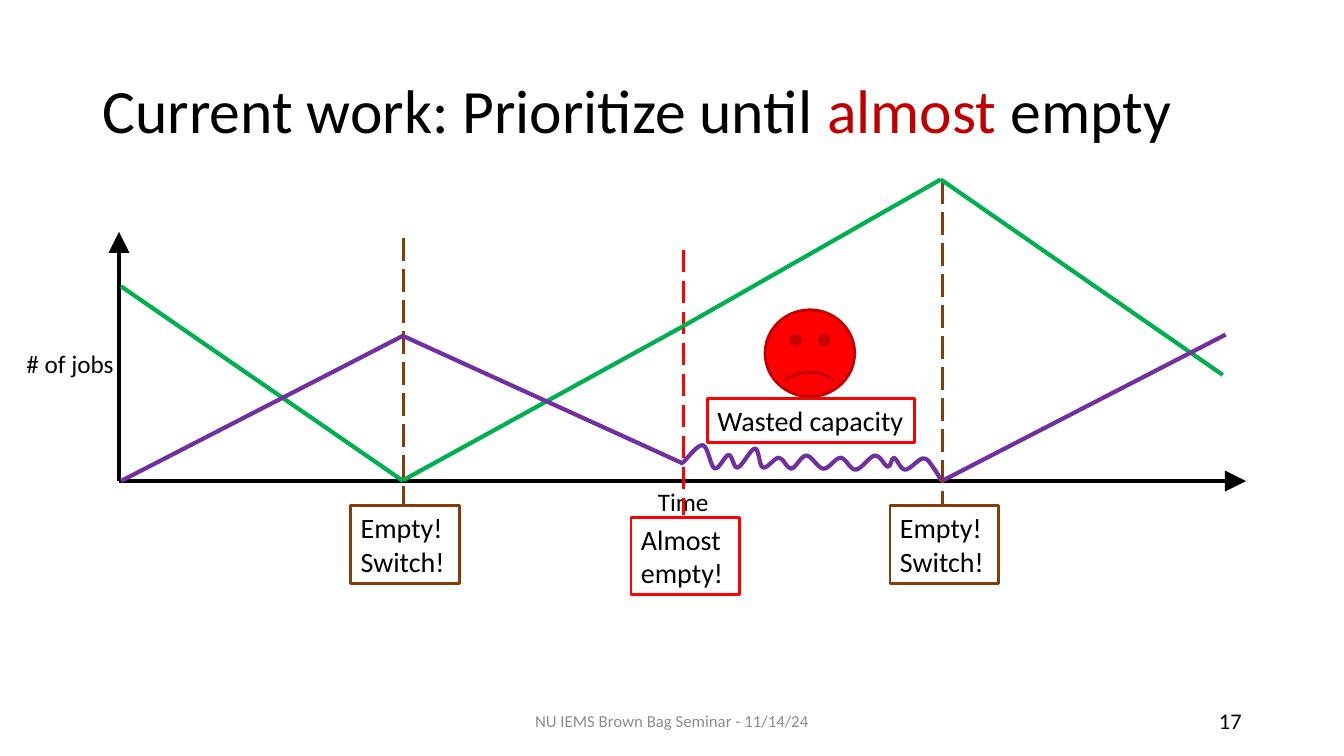
from dataclasses import dataclass
from itertools import chain

from lxml.etree import SubElement
from pptx import Presentation
from pptx.dml.color import RGBColor
from pptx.enum.dml import MSO_LINE
from pptx.enum.shapes import MSO_CONNECTOR, MSO_SHAPE
from pptx.enum.text import MSO_ANCHOR, MSO_AUTO_SIZE, PP_ALIGN
from pptx.oxml.ns import qn
from pptx.shapes.autoshape import Shape
from pptx.shapes.connector import Connector
from pptx.text.text import TextFrame
from pptx.util import Pt

Point = tuple[float, float]


@dataclass(frozen=True)
class Theme:
    font: str = "Calibri"
    black: str = "000000"
    white: str = "FFFFFF"
    gray: str = "8C8C8C"
    green: str = "00B050"
    purple: str = "7030A0"
    brown: str = "843C0B"
    red: str = "FF0000"
    dark: str = "C00000"
    title: float = 44
    note: float = 20
    label: float = 18
    page: float = 16
    foot: float = 12
    thick: float = 3
    thin: float = 2


@dataclass(frozen=True)
class Label:
    text: str
    left: float
    top: float
    width: float
    size: float
    color: str
    align: PP_ALIGN = PP_ALIGN.CENTER
    anchor: MSO_ANCHOR = MSO_ANCHOR.TOP


@dataclass(frozen=True)
class Track:
    color: str
    points: list[Point]
    curved: bool = False


@dataclass(frozen=True)
class Switch:
    text: str
    x: float
    start: float
    top: float
    color: str


theme = Theme()
prs = Presentation()
prs.slide_width, prs.slide_height = Pt(960), Pt(540)
slide = prs.slides.add_slide(prs.slide_layouts[5])
shapes = slide.shapes


def paint(frame: TextFrame, size: float, color: str, align: PP_ALIGN) -> None:
    for para in frame.paragraphs:
        para.alignment = align
        for run in para.runs:
            run.font.name = theme.font
            run.font.size = Pt(size)
            run.font.color.rgb = RGBColor.from_string(color)


def write(item: Label) -> None:
    box = shapes.add_textbox(Pt(item.left), Pt(item.top), Pt(item.width), Pt(28.8))
    frame = box.text_frame
    frame.word_wrap = True
    frame.vertical_anchor = item.anchor
    frame.text = item.text
    paint(frame, item.size, item.color, item.align)


def draw(start: Point, end: Point, color: str, width: float) -> Connector:
    line = shapes.add_connector(
        MSO_CONNECTOR.STRAIGHT, *(Pt(v) for v in chain(start, end)))
    line.line.color.rgb = RGBColor.from_string(color)
    line.line.width = Pt(width)
    SubElement(line._element.spPr, qn("a:effectLst"))
    return line


def arrow(start: Point, end: Point) -> None:
    line = draw(start, end, theme.black, theme.thick)
    stroke = line._element.spPr.find(qn("a:ln"))
    SubElement(stroke, qn("a:tailEnd"), type="triangle", w="lg", len="lg")


def solid(kind: MSO_SHAPE, left: float, top: float, width: float,
          height: float, fill: str, edge: str) -> Shape:
    shape = shapes.add_shape(kind, Pt(left), Pt(top), Pt(width), Pt(height))
    shape.shadow.inherit = False
    shape.fill.solid()
    shape.fill.fore_color.rgb = RGBColor.from_string(fill)
    shape.line.color.rgb = RGBColor.from_string(edge)
    shape.line.width = Pt(theme.thin)
    return shape


def note(text: str, left: float, top: float, width: float, height: float,
         edge: str) -> None:
    box = solid(MSO_SHAPE.RECTANGLE, left, top, width, height, theme.white, edge)
    frame = box.text_frame
    frame.vertical_anchor = MSO_ANCHOR.TOP
    frame.text = text
    paint(frame, theme.note, theme.black, PP_ALIGN.LEFT)


def mark(item: Switch) -> None:
    end = (item.x, item.top - 1.4)
    line = draw((item.x, item.start), end, item.color, theme.thin)
    line.line.dash_style = MSO_LINE.LONG_DASH
    note(item.text, item.x - 37.5, item.top, 77.8, 55.4, item.color)


def wave(dots: list[Point], color: str) -> None:
    path = [(Pt(x), Pt(y)) for x, y in dots]
    pen = shapes.build_freeform(*path[0])
    pen.add_line_segments(path[1:], close=False)
    curve = pen.convert_to_shape()
    curve.shadow.inherit = False
    curve.fill.background()
    curve.line.color.rgb = RGBColor.from_string(color)
    curve.line.width = Pt(theme.thick)
    # Turn each straight step into a smooth one through the same points
    steps = list(curve._element.iter(qn("a:lnTo")))
    padded = [path[0], *path, path[-1]]
    for step, a, b, c, d in zip(steps, padded, padded[1:], padded[2:], padded[3:]):
        step.tag = qn("a:cubicBezTo")
        end = step[0]
        for p, q, r in ((b, a, c), (c, d, b)):
            x, y = (p[k] + (r[k] - q[k]) // 6 - c[k] for k in (0, 1))
            hold = SubElement(step, qn("a:pt"))
            hold.set("x", str(int(end.get("x")) + x))
            hold.set("y", str(int(end.get("y")) + y))
        step.append(end)


# Title
title = shapes.title
title.left, title.top, title.width, title.height = Pt(66), Pt(28.8), Pt(828), Pt(104.4)
frame = title.text_frame
frame.auto_size = MSO_AUTO_SIZE.NONE
frame.vertical_anchor = MSO_ANCHOR.MIDDLE
head = frame.paragraphs[0]
head.line_spacing = 0.9
for part in ("Current work: Prioritize until ", "almost", " empty"):
    head.add_run().text = part
paint(frame, theme.title, theme.black, PP_ALIGN.LEFT)
head.runs[1].font.color.rgb = RGBColor.from_string(theme.dark)

# Footer, axes and their labels
base = 343.6
for item in (
    Label("NU IEMS Brown Bag Seminar - 11/14/24", 318, 500.4, 324, theme.foot,
          theme.gray, anchor=MSO_ANCHOR.MIDDLE),
    Label("17", 678, 500.4, 216, theme.page, theme.black, PP_ALIGN.RIGHT,
          MSO_ANCHOR.MIDDLE),
    Label("Time", 394, base, 188, theme.label, theme.black),
    Label("# of jobs", 9.7, 245, 80.6, theme.label, theme.black),
):
    write(item)
for tip in ((890, base), (85, 165.6)):
    arrow((85, base), tip)

# Queue lengths and moments of switching
for item in (
    Track(theme.green, [(86.4, 204.5), (288, base)]),
    Track(theme.purple, [(86.4, base), (288, 239.8)]),
    Switch("Empty!\nSwitch!", 288, 170.3, 361.4, theme.brown),
    Track(theme.green, [(288, 343), (487.5, 233.3)]),
    Track(theme.purple, [(287.5, 239.8), (488.2, 331.2)]),
    Switch("Almost empty!", 488.2, 178.4, 369.4, theme.red),
    Track(theme.purple, [
        (487.5, 330.8), (502, 318), (510.5, 334.6), (520.5, 325), (527, 334),
        (539.3, 320.4), (545, 334), (556.5, 327), (565.2, 334.8), (576, 325.4),
        (588.2, 334.8), (600.5, 327), (611.3, 335.5), (625, 325.4), (634.3, 333.4),
        (638.6, 327), (646.5, 335.5), (659.5, 327.4), (666.7, 334), (672.6, base),
    ], curved=True),
    Track(theme.green, [(487.5, 233.3), (672, 128.2)]),
    Switch("Empty!\nSwitch!", 673.2, 129.6, 361.4, theme.brown),
    Track(theme.green, [(672, 128.2), (873.4, 267.8)]),
    Track(theme.purple, [(673.9, 343), (875.5, 239)]),
):
    if isinstance(item, Switch):
        mark(item)
    elif item.curved:
        wave(item.points, item.color)
    else:
        draw(*item.points, item.color, theme.thick)

# Wasted capacity
note("Wasted capacity", 505.4, 284.4, 147.6, 31.7, theme.red)
face = solid(MSO_SHAPE.SMILEY_FACE, 546.5, 221.3, 64, 62, theme.red, theme.dark)
face.adjustments[0] = -0.047

prs.save("out.pptx")
